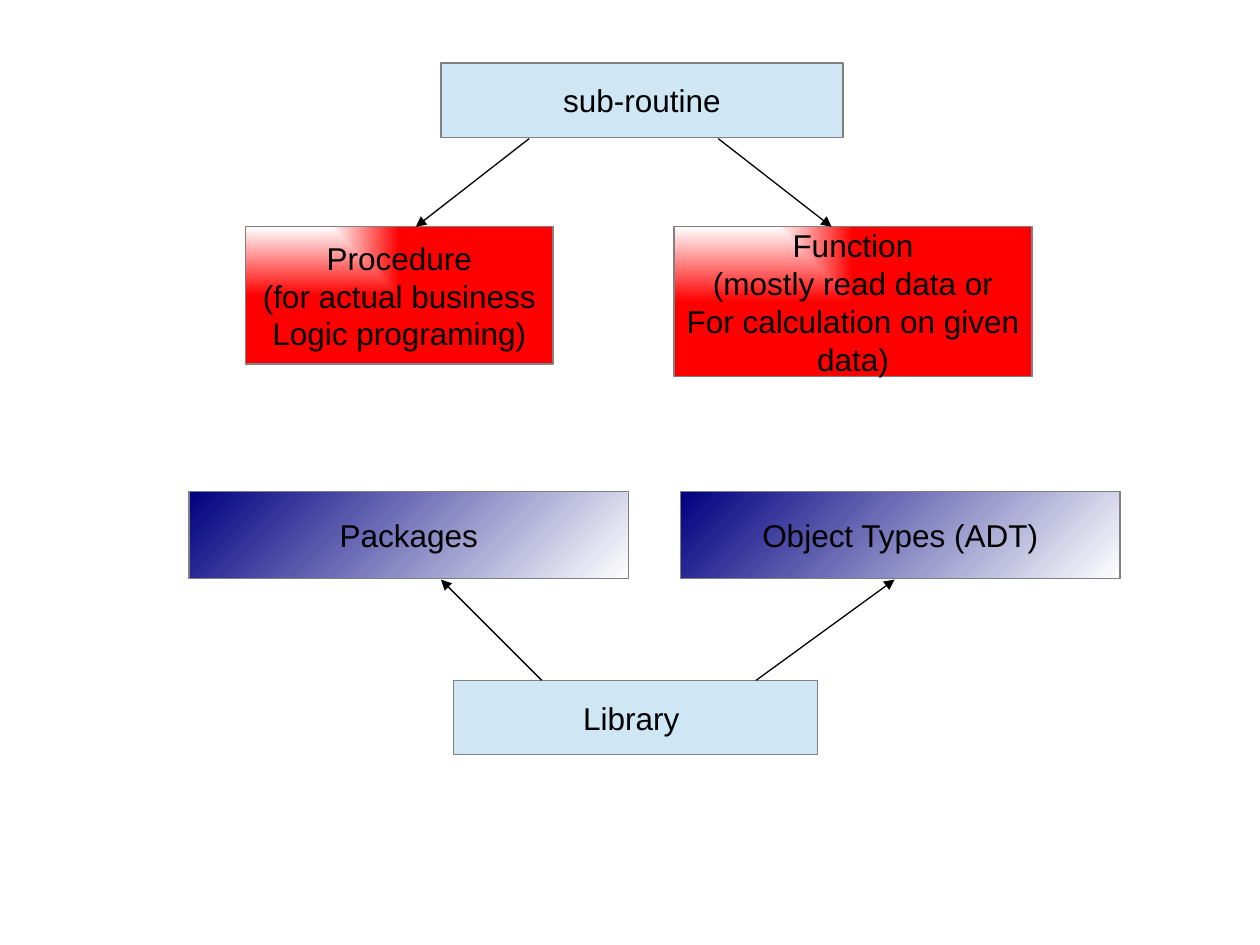
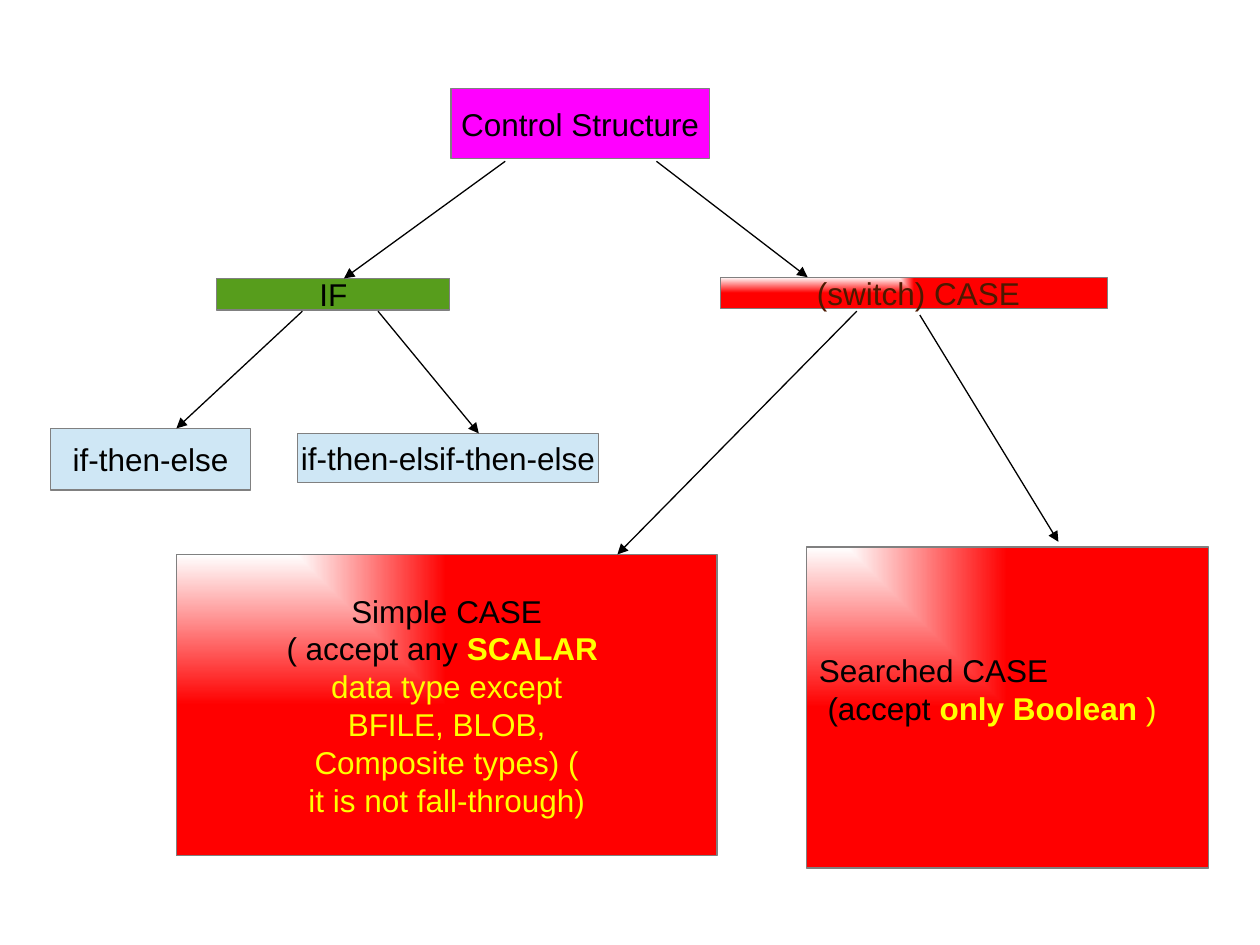
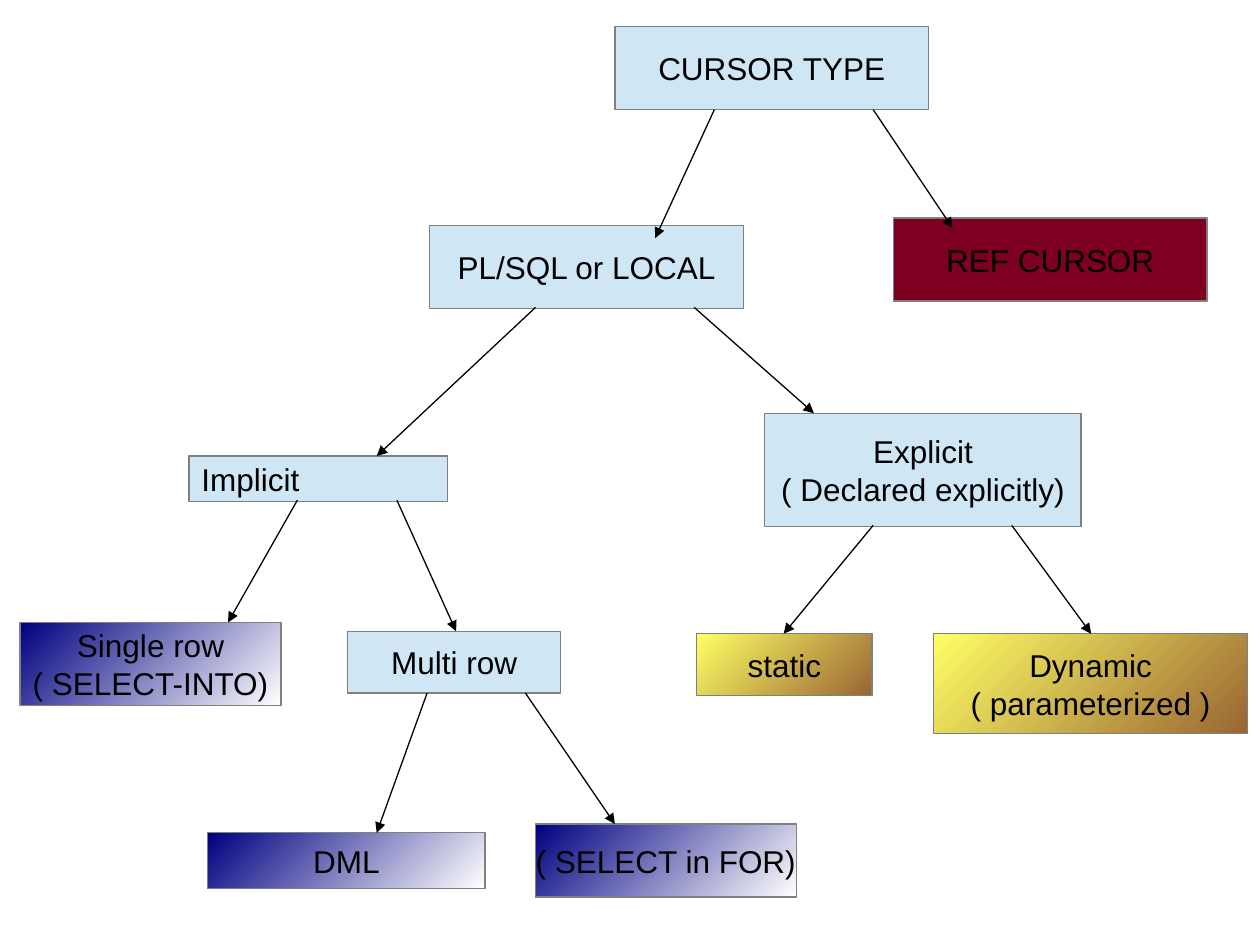
from lxml.etree import SubElement
from pptx import Presentation
from pptx.dml.color import RGBColor
from pptx.enum.shapes import MSO_CONNECTOR, MSO_SHAPE
from pptx.enum.text import MSO_ANCHOR, PP_ALIGN as Align
from pptx.oxml.ns import qn
from pptx.util import Inches, Pt

# Shared look
FONT, SIZE = "Arial", 18
BLACK, GREY, YELLOW, BROWN = "000000", "808080", "FFFF00", "4C1900"
PALE, MAGENTA, GREEN, MAROON = "CFE7F5", "FF00FF", "579D1C", "7E0021"
# Gradients: first colour, last colour, kind
RED = ("FFFFFF", "FF0000", "corner")
NAVY = ("000080", "FFFFFF", "diagonal")
GOLD = ("FFFF66", "996633", "diagonal")

# Boxes: (left, top, width, height), fill, lines, text format
# A line is a string or a list of (text, run format).
# Arrows: from x, from y, to x, to y
YELLOW_TEXT = {"color": YELLOW}
YELLOW_BOLD = {"color": YELLOW, "bold": True}

SUBROUTINES = {
    "boxes": [
        ((3.5, 0.5, 3.19, 0.59), PALE, ["sub-routine"], {}),
        ((1.95, 1.8, 2.44, 1.09), RED,
         ["Procedure", "(for actual business", "Logic programing)"], {}),
        ((5.35, 1.8, 2.84, 1.19), RED,
         ["Function", "(mostly read data or", "For calculation on given", "data)"], {}),
        ((1.5, 3.9, 3.49, 0.69), NAVY, ["Packages"], {}),
        ((5.4, 3.9, 3.49, 0.69), NAVY, ["Object Types (ADT)"], {}),
        ((3.6, 5.4, 2.89, 0.59), PALE, ["Library "], {}),
    ],
    "arrows": [
        (4.2, 1.1, 3.3, 1.8), (5.7, 1.1, 6.6, 1.8),
        (6, 5.4, 7.1, 4.6), (4.3, 5.4, 3.5, 4.6),
    ],
}

CONTROL_STRUCTURES = {
    "boxes": [
        ((3.58, 0.7, 2.05, 0.56), MAGENTA, ["Control Structure"], {}),
        ((5.72, 2.2, 3.07, 0.25), RED, [" (switch) CASE"], {"color": BROWN}),
        ((1.72, 2.21, 1.85, 0.25), GREEN, ["IF"], {}),
        ((0.4, 3.4, 1.59, 0.49), PALE, ["if-then-else"], {}),
        ((2.36, 3.44, 2.39, 0.39), PALE, ["if-then-elsif-then-else"], {}),
        ((1.4, 4.4, 4.29, 2.39), RED,
         ["Simple CASE",
          [("( accept any ", {}), ("SCALAR ", YELLOW_BOLD)],
          [("data type except", YELLOW_TEXT)],
          [("BFILE, BLOB,", YELLOW_TEXT)],
          [("Composite types) (", YELLOW_TEXT)],
          [("it is not fall-through)", YELLOW_TEXT)]], {}),
        ((6.4, 4.34, 3.19, 2.55), RED,
         ["Searched CASE",
          [(" (accept ", {}), ("only Boolean", YELLOW_BOLD), (" )", YELLOW_TEXT)]],
         {"align": Align.LEFT, "bottom": 0.35}),
    ],
    "arrows": [
        (4.01, 1.28, 2.73, 2.21), (5.21, 1.28, 6.41, 2.2),
        (2.4, 2.47, 1.4, 3.4), (3, 2.47, 3.8, 3.44),
        (6.8, 2.47, 4.9, 4.4), (7.3, 2.5, 8.4, 4.3),
    ],
}

CURSOR_TYPES = {
    "boxes": [
        ((4.88, 0.21, 2.49, 0.66), PALE, ["CURSOR TYPE"], {}),
        ((3.41, 1.79, 2.49, 0.66), PALE, ["PL/SQL or LOCAL"], {}),
        ((7.09, 1.73, 2.49, 0.66), MAROON, ["REF CURSOR"], {}),
        ((1.5, 3.62, 2.05, 0.36), PALE, ["Implicit"], {"align": Align.LEFT}),
        ((6.07, 3.28, 2.51, 0.9), PALE, ["Explicit", "( Declared explicitly)"], {}),
        ((0.16, 4.94, 2.07, 0.66), NAVY, ["Single row", "( SELECT-INTO)"], {}),
        ((2.76, 5.01, 1.69, 0.49), PALE, ["Multi row"], {}),
        ((5.53, 5.03, 1.39, 0.49), GOLD, ["static"], {}),
        ((7.41, 5.03, 2.49, 0.79), GOLD, ["Dynamic", "( parameterized )"], {}),
        ((1.65, 6.61, 2.2, 0.44), NAVY, ["DML"], {}),
        ((4.25, 6.54, 2.07, 0.58), NAVY, ["( SELECT in FOR)"], {}),
    ],
    "arrows": [
        (5.67, 0.87, 5.2, 1.89), (6.93, 0.87, 7.56, 1.81),
        (4.25, 2.44, 2.99, 3.62), (5.51, 2.44, 6.46, 3.28),
        (2.36, 3.97, 1.81, 4.94), (3.15, 3.97, 3.62, 5.01),
        (3.39, 5.5, 2.99, 6.61), (4.17, 5.5, 4.88, 6.54),
        (6.93, 4.17, 6.22, 5.03), (8.03, 4.17, 8.66, 5.03),
    ],
}


def rgb(color):
    return RGBColor.from_string(color)


def set_line(line, color):
    line.color.rgb = rgb(color)
    line.width = Pt(0.75)


def set_fill(sp, fill):
    if isinstance(fill, str):
        sp.fill.solid()
        sp.fill.fore_color.rgb = rgb(fill)
        return
    *colors, kind = fill
    sp.fill.gradient()
    for stop, color in zip(sp.fill.gradient_stops, colors):
        stop.color.rgb = rgb(color)
    sp.fill.gradient_angle = 315
    if kind == "corner":
        # Spread from the top left corner instead of along a line
        grad = sp._element.spPr.find(qn("a:gradFill"))
        grad.remove(grad.find(qn("a:lin")))
        spread = SubElement(grad, qn("a:path"), {"path": "rect"})
        SubElement(spread, qn("a:fillToRect"), l="0", t="0", r="100000", b="100000")


def write(tf, lines, color=BLACK, align=Align.CENTER, bottom=0.05):
    tf.word_wrap = False
    tf.vertical_anchor = MSO_ANCHOR.MIDDLE
    tf.margin_left = tf.margin_right = Inches(0.1)
    tf.margin_top, tf.margin_bottom = Inches(0.05), Inches(bottom)
    for i, line in enumerate(lines):
        p = tf.add_paragraph() if i else tf.paragraphs[0]
        p.alignment = align
        for text, style in [(line, {})] if isinstance(line, str) else line:
            r = p.add_run()
            r.text = text
            r.font.name, r.font.size = FONT, Pt(SIZE)
            r.font.bold = style.get("bold", False)
            r.font.color.rgb = rgb(style.get("color", color))


def add_box(s, place, fill, lines, style):
    sp = s.shapes.add_shape(MSO_SHAPE.RECTANGLE, *map(Inches, place))
    sp.shadow.inherit = False
    set_fill(sp, fill)
    set_line(sp.line, GREY)
    write(sp.text_frame, lines, **style)


def add_arrow(s, ends):
    arrow = s.shapes.add_connector(MSO_CONNECTOR.STRAIGHT, *map(Inches, ends))
    set_line(arrow.line, BLACK)
    spPr = arrow._element.spPr
    SubElement(spPr.find(qn("a:ln")), qn("a:tailEnd"), type="triangle")
    SubElement(spPr, qn("a:effectLst"))


def main():
    prs = Presentation()
    prs.slide_width, prs.slide_height = Inches(10), Inches(7.5)
    blank = prs.slide_layouts[6]
    for diagram in (SUBROUTINES, CONTROL_STRUCTURES, CURSOR_TYPES):
        s = prs.slides.add_slide(blank)
        for box in diagram["boxes"]:
            add_box(s, *box)
        for ends in diagram["arrows"]:
            add_arrow(s, ends)
    prs.save("out.pptx")


if __name__ == "__main__":
    main()
